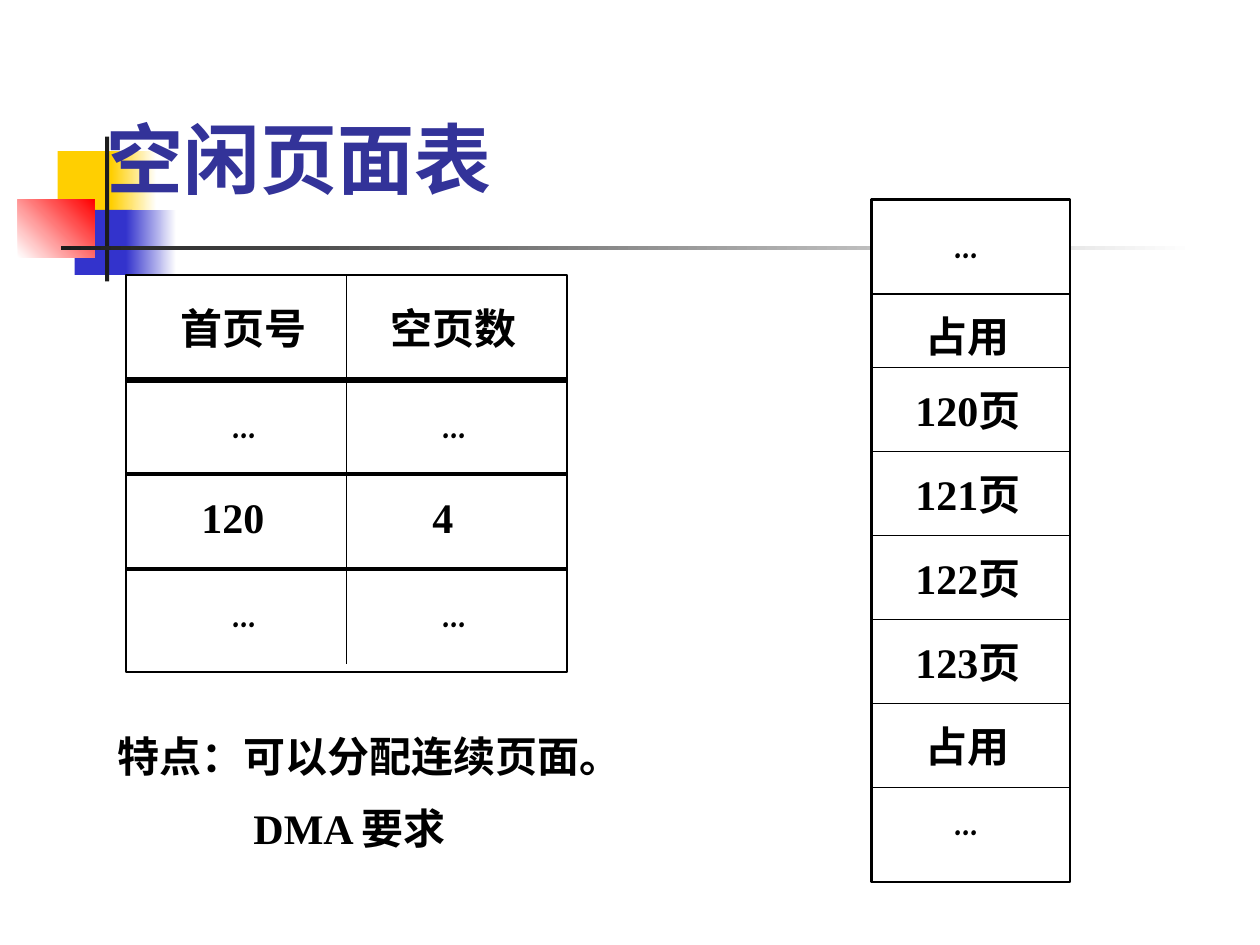
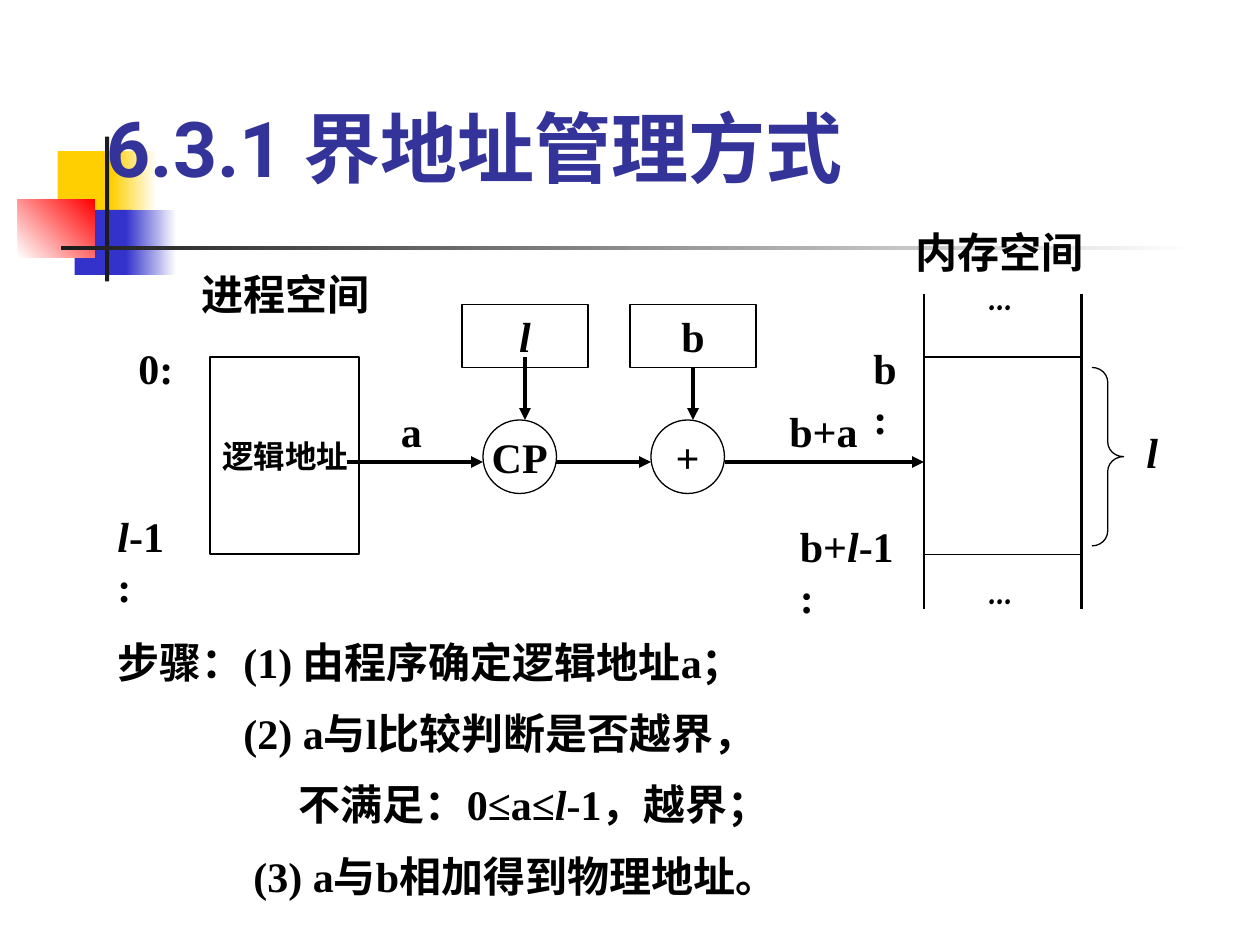
from dataclasses import dataclass

from lxml.etree import SubElement
from pptx import Presentation
from pptx.dml.color import RGBColor
from pptx.enum.shapes import MSO_CONNECTOR, MSO_SHAPE
from pptx.enum.text import MSO_ANCHOR, PP_ALIGN
from pptx.oxml.ns import qn
from pptx.util import Inches, Pt


@dataclass(frozen=True)
class Theme:
    ink: RGBColor = RGBColor.from_string("000000")
    paper: RGBColor = RGBColor.from_string("FFFFFF")
    title: RGBColor = RGBColor.from_string("333399")
    yellow: RGBColor = RGBColor.from_string("FFCF01")
    blue: RGBColor = RGBColor.from_string("3333CC")
    red: RGBColor = RGBColor.from_string("FF0000")
    bar: RGBColor = RGBColor.from_string("1C1C1C")
    title_font: str = "Roboto"
    body_font: str = "Times New Roman"
    dots_font: str = "Comic Neue"
    title_size: int = 44
    body_size: int = 24
    small_size: int = 18
    thin: float = 0.75
    frame: float = 1.25
    thick: float = 2.25
    header: float = 3


theme = Theme()
presentation = Presentation()
presentation.slide_width = Inches(10)
presentation.slide_height = Inches(7.5)
CELL = presentation.slide_width // 120


def write_text(shape, lines, size=theme.body_size, font=theme.body_font, color=theme.ink, align=PP_ALIGN.LEFT):
    frame = shape.text_frame
    for index, (indent, text) in enumerate(lines):
        paragraph = frame.add_paragraph() if index else frame.paragraphs[0]
        properties = paragraph._p.get_or_add_pPr()
        properties.set("marL", str(Inches(indent)))
        properties.set("indent", "0")
        paragraph.alignment = align
        if index:
            paragraph.space_before = Pt(size / 2)
        paragraph.font.name = font
        paragraph.font.size = Pt(size)
        paragraph.font.bold = True
        paragraph.font.color.rgb = color
        for part, segment in enumerate(text.split("*")):
            if segment:
                run = paragraph.add_run()
                run.text = segment
                if part % 2:
                    run.font.italic = True


def add_line(slide, ends, weight, arrow=False):
    connector = slide.shapes.add_connector(MSO_CONNECTOR.STRAIGHT, *[round(value * CELL) for value in ends])
    connector.line.color.rgb = theme.ink
    connector.line.width = Pt(weight)
    properties = connector._element.spPr
    if arrow:
        SubElement(properties.find(qn("a:ln")), qn("a:tailEnd"), type="triangle")
    SubElement(properties, qn("a:effectLst"))
    return connector


decorations = [
    ((5.5, 14.4, 5.8, 6.2), theme.yellow, None, 0),
    ((10.6, 14.4, 4.3, 6.2), theme.yellow, theme.paper, 0),
    ((7.1, 20, 5.5, 6.2), theme.blue, None, 0),
    ((12, 20, 4.8, 6.2), theme.blue, theme.paper, 0),
    ((1.7, 19, 7.3, 5.5), theme.paper, theme.red, 45),
    ((10, 13, 0.4, 13.8), theme.bar, None, 0),
    ((5.8, 23.4, 108, 0.4), theme.bar, theme.paper, 0),
]

table_columns = [
    [("首页号", 16, 15), ("...", 21, 7), ("120", 18, 13), ("...", 21, 7)],
    [("空页数", 36, 15), ("...", 41, 7), ("4", 40, 9), ("...", 41, 7)],
]
table_labels = [
    ((left, 28.2 + 9 * row, width, 6), [(0, text)])
    for column in table_columns
    for row, (text, left, width) in enumerate(column)
]
page_labels = [((86, 36 + 8 * index, 14, 6), [(0, f"{120 + index}页")]) for index in range(4)]

contents = [
    {
        "title": ("空闲页面表", 5),
        "shapes": {
            "table": (MSO_SHAPE.RECTANGLE, (12, 26.2, 42, 37.8), theme.frame, ""),
            "memory": (MSO_SHAPE.RECTANGLE, (83, 19, 18.9, 65), theme.frame, ""),
        },
        "labels": table_labels + page_labels + [
            ((87, 29, 12, 6), [(0, "占用")]),
            ((87, 68, 12, 6), [(0, "占用")]),
            ((87, 20, 14, 6), [(0.23, "...")]),
            ((87, 75, 14, 6), [(0.23, "...")]),
            ((10, 69, 51, 13.2), [(0, "特点：可以分配连续页面。"), (1.08, "DMA 要求")]),
        ],
    },
    {
        "title": ("6.3.1 界地址管理方式", 4),
        "shapes": {
            "process": (MSO_SHAPE.RECTANGLE, (20, 34, 14.2, 18.8), theme.frame, ""),
            "memory": (MSO_SHAPE.RECTANGLE, (88, 34, 15.1, 18.8), theme.thin, ""),
            "brace": (MSO_SHAPE.RIGHT_BRACE, (104, 35, 3, 17), theme.thin, ""),
            "limit": (MSO_SHAPE.RECTANGLE, (44, 29, 12, 6), theme.thin, "*l*"),
            "base": (MSO_SHAPE.RECTANGLE, (60, 29, 12, 6), theme.thin, "b"),
            "compare": (MSO_SHAPE.OVAL, (46, 40, 7, 7), theme.thin, "CP"),
            "add": (MSO_SHAPE.OVAL, (62, 40, 7, 7), theme.thin, "+"),
        },
        "labels": [
            ((12, 32, 6, 6), [(0, "0:")]),
            ((10, 48, 8, 6), [(0, "*l*-1:")]),
            ((93, 25, 8, 6), [(0, "...")]),
            ((93, 53, 8, 6), [(0, "...")]),
            ((82, 32, 5, 6), [(0, "b:")]),
            ((108, 40, 6, 6), [(0, "*l*")]),
            ((75, 49, 12, 6), [(0, "b+*l*-1:")]),
            ((20, 41, 16, 4.8), [(0, "逻辑地址")]),
            ((37, 38, 5, 6), [(0, "a")]),
            ((74, 38, 10, 6), [(0, "b+a")]),
            ((18, 25, 20, 6), [(0, "进程空间")]),
            ((86, 21, 20, 6), [(0, "内存空间")]),
            ((10, 60, 105, 27.6), [
                (0, "步骤：(1) 由程序确定逻辑地址a；"),
                (1, "(2) a与l比较判断是否越界，"),
                (1.44, "不满足：0≤a≤*l*-1，越界；"),
                (1.08, "(3) a与b相加得到物理地址。"),
            ]),
        ],
    },
]

slides = []
drawn = []
for content in contents:
    slide = presentation.slides.add_slide(presentation.slide_layouts[6])
    slides.append(slide)
    for area, start, finish, angle in decorations:
        shape = slide.shapes.add_shape(MSO_SHAPE.RECTANGLE, *[round(value * CELL) for value in area])
        shape.shadow.inherit = False
        shape.line.fill.background()
        if finish is None:
            shape.fill.solid()
            shape.fill.fore_color.rgb = start
        else:
            shape.fill.gradient()
            shape.fill.gradient_angle = angle
            for stop, color in zip(shape.fill.gradient_stops, (start, finish)):
                stop.color.rgb = color

    text, top = content["title"]
    title = slide.shapes.add_textbox(9 * CELL, top * CELL, 102 * CELL, 15 * CELL)
    title.text_frame.word_wrap = True
    title.text_frame.vertical_anchor = MSO_ANCHOR.BOTTOM
    write_text(title, [(0, text)], theme.title_size, theme.title_font, theme.title)

    shapes = {}
    for name, (kind, area, weight, text) in content["shapes"].items():
        shape = slide.shapes.add_shape(kind, *[round(value * CELL) for value in area])
        shape.shadow.inherit = False
        shape.line.color.rgb = theme.ink
        shape.line.width = Pt(weight)
        if kind == MSO_SHAPE.RIGHT_BRACE:
            shape.fill.background()
            shape.adjustments[0] = 0.47
        else:
            shape.fill.solid()
            shape.fill.fore_color.rgb = theme.paper
        if text:
            shape.text_frame.word_wrap = False
            shape.text_frame.vertical_anchor = MSO_ANCHOR.MIDDLE
            write_text(shape, [(0, text)], align=PP_ALIGN.CENTER)
        shapes[name] = shape
    drawn.append(shapes)

    for area, lines in content["labels"]:
        label = slide.shapes.add_textbox(*[round(value * CELL) for value in area])
        label.text_frame.word_wrap = True
        font = theme.dots_font if lines[0][1] == "..." else theme.body_font
        size = theme.small_size if lines[0][1] == "逻辑地址" else theme.body_size
        write_text(label, lines, size, font)

page_slide, address_slide = slides
page_shapes, address_shapes = drawn

add_line(page_slide, (12, 36.2, 54, 36.2), theme.header)
middle_rule = add_line(page_slide, (12, 45.1, 54, 45.1), theme.thick)
middle_rule.begin_connect(page_shapes["table"], 1)
middle_rule.end_connect(page_shapes["table"], 3)
add_line(page_slide, (12, 54.2, 54, 54.2), theme.thick)
column_rule = add_line(page_slide, (33, 26.2, 33, 63.2), theme.thin)
column_rule.begin_connect(page_shapes["table"], 0)
for row in [28, *range(35, 76, 8)]:
    add_line(page_slide, (83, row, 101.9, row), theme.thin)

for column, weight in ((88, theme.frame), (103, theme.thick)):
    add_line(address_slide, (column, 28, column, 58), weight)
for start, finish in ((33, 46), (53, 62), (69, 88)):
    add_line(address_slide, (start, 44, finish, 44), theme.thick, arrow=True)
add_line(address_slide, (50, 34, 50, 40), theme.thick, arrow=True)
base_arrow = add_line(address_slide, (66, 35, 66, 40), theme.thick, arrow=True)
base_arrow.begin_connect(address_shapes["base"], 2)

presentation.save("out.pptx")
